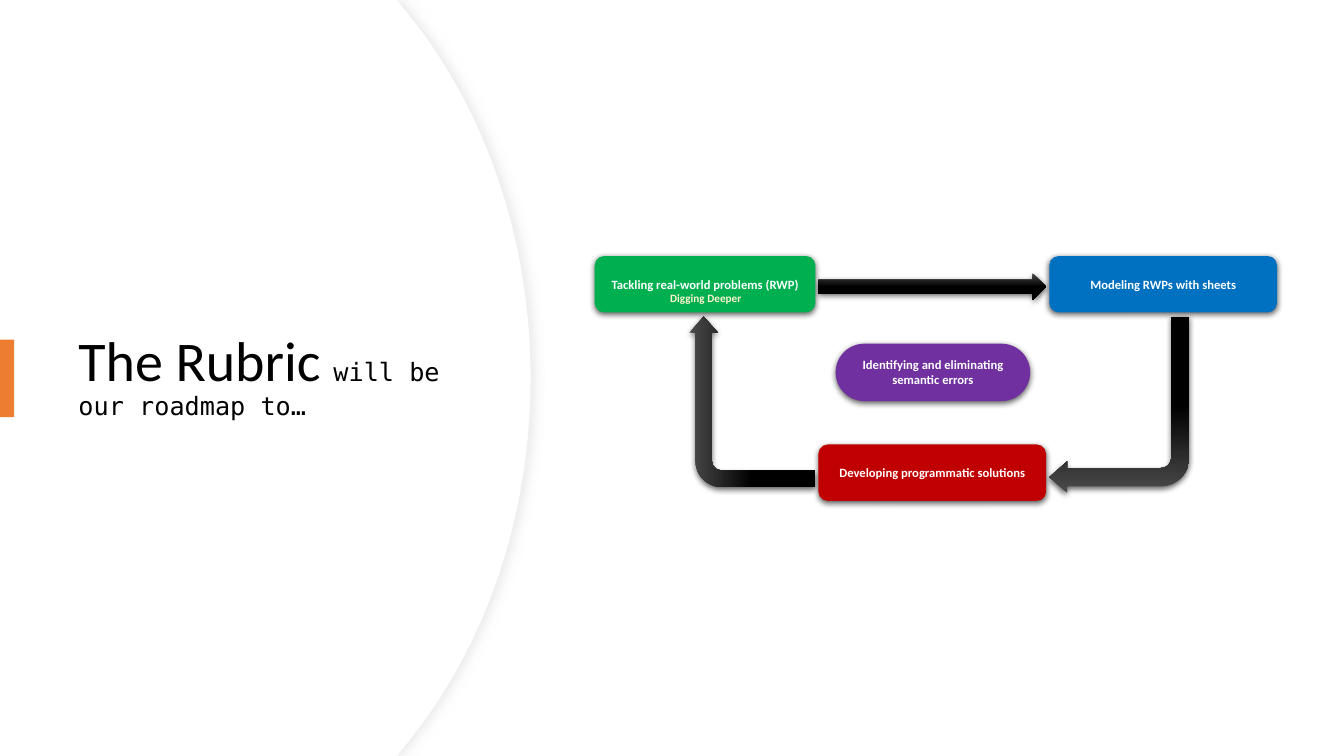
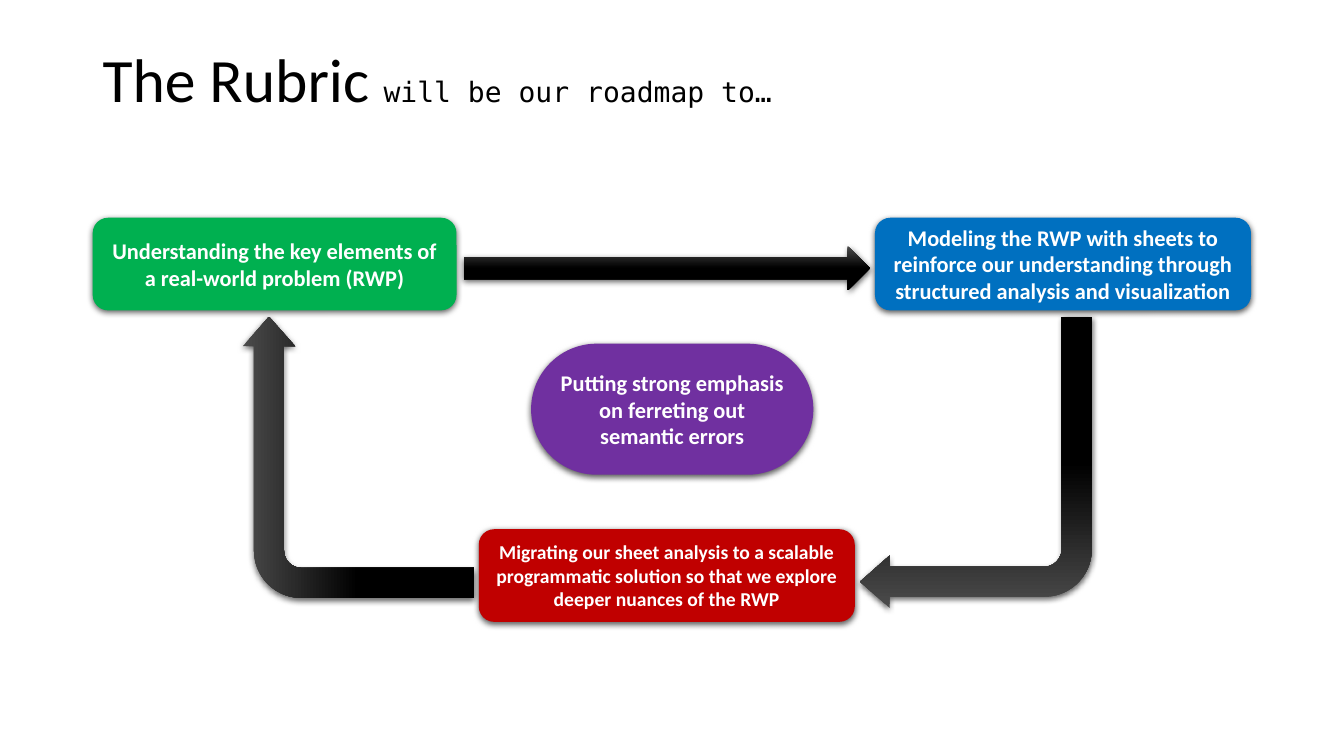
from lxml import etree
from pptx import Presentation
from pptx.dml.color import RGBColor
from pptx.enum.shapes import MSO_SHAPE
from pptx.enum.text import MSO_ANCHOR, PP_ALIGN
from pptx.oxml.ns import qn
from pptx.util import Pt

RECTANGLE = MSO_SHAPE.RECTANGLE
ROUNDED = MSO_SHAPE.ROUNDED_RECTANGLE
BENT_ARROW = MSO_SHAPE.BENT_ARROW
RIGHT_ARROW = MSO_SHAPE.RIGHT_ARROW
CENTER = PP_ALIGN.CENTER
MIDDLE = MSO_ANCHOR.MIDDLE

WHITE = RGBColor(0xFF, 0xFF, 0xFF)
BLACK = RGBColor(0, 0, 0)
CHARCOAL = RGBColor(0x4B, 0x4B, 0x4B)
SHADE = RGBColor(0xD9, 0xD9, 0xD9)
EDGE = RGBColor(0xEF, 0xEF, 0xEF)
ORANGE = RGBColor(0xED, 0x7D, 0x31)
GREEN = RGBColor(0x00, 0xB0, 0x50)
BLUE = RGBColor(0x00, 0x70, 0xC0)
RED = RGBColor(0xC0, 0x00, 0x00)
PURPLE = RGBColor(0x70, 0x30, 0xA0)
CREAM = RGBColor(0xFF, 0xF2, 0xCC)

BODY_FONT = "Calibri"
MONO_FONT = "DejaVu Sans Mono"
BEND = (0.13, 0.113, 0.128, 0.205)
CURVE_STEPS = 30


def points(*values):
    """Turn plain numbers into lengths in points."""
    return [Pt(value) for value in values]


def bezier(start, first, second, end):
    """Return points along a cubic curve."""
    curve = []
    for step in range(CURVE_STEPS + 1):
        t = step / CURVE_STEPS
        weights = ((1 - t) ** 3, 3 * t * (1 - t) ** 2, 3 * t * t * (1 - t), t ** 3)
        curve.append(tuple(
            sum(weight * knot[axis] for weight, knot in zip(weights, (start, first, second, end)))
            for axis in (0, 1)))
    return curve


class Deck:
    """Shared style and the slide being built."""

    def __init__(self):
        """Open a widescreen deck."""
        self.deck = Presentation()
        self.deck.slide_width, self.deck.slide_height = points(960, 540)
        self.page = None

    def add_page(self):
        """Start a blank slide."""
        self.page = self.deck.slides.add_slide(self.deck.slide_layouts[6])

    def shadow(self, shape, color=BLACK, alpha=63, blur=4.5, distance=1.5, angle=90):
        """Give a shape a soft outer shadow."""
        effects = shape.element.spPr.find(qn("a:effectLst"))
        outer = etree.SubElement(
            effects, qn("a:outerShdw"), blurRad=str(Pt(blur)), dist=str(Pt(distance)),
            dir=str(angle * 60000), algn="ctr", rotWithShape="0")
        tone = etree.SubElement(outer, qn("a:srgbClr"), val=str(color))
        etree.SubElement(tone, qn("a:alpha"), val=str(alpha * 1000))

    def paint(self, shape, color):
        """Fill a shape without outline or inherited shadow."""
        shape.shadow.inherit = False
        shape.line.fill.background()
        shape.fill.solid()
        shape.fill.fore_color.rgb = color

    def shape(self, kind, frame, color):
        """Add a plain filled preset shape."""
        shape = self.page.shapes.add_shape(kind, *points(*frame))
        self.paint(shape, color)
        return shape

    def style(self, span, size, color, font=BODY_FONT, bold=False):
        """Format one run."""
        span.font.name, span.font.size = font, Pt(size)
        span.font.color.rgb, span.font.bold = color, bold

    def panel(self, inset):
        """Add the white panel with a curved right side."""
        upper = bezier((288.7 - inset, 5.8), (344.9 - inset, 73.4),
                       (379.4 - inset, 167), (379.4 - inset, 270))
        lower = [(x, 540 - y) for x, y in reversed(upper)]
        outline = [(283.7, 0), *upper, *lower[1:], (283.7, 540), (0, 540)]
        builder = self.page.shapes.build_freeform(0, 0)
        builder.add_line_segments([points(*corner) for corner in outline], close=True)
        panel = builder.convert_to_shape()
        self.paint(panel, WHITE)
        return panel

    def title(self, frame, large, small):
        """Add the two-font title."""
        box = self.page.shapes.add_textbox(*points(*frame))
        box.text_frame.word_wrap = True
        box.text_frame.vertical_anchor = MIDDLE
        para = box.text_frame.paragraphs[0]
        para.line_spacing = 0.9
        for text, size, font in (("The Rubric ", large, BODY_FONT),
                                 ("will be our roadmap to…", small, MONO_FONT)):
            span = para.add_run()
            span.text = text
            self.style(span, size, BLACK, font)

    def step(self, text, frame, color, size, after=0, roundness=None):
        """Add a rounded box with bold centred text."""
        box = self.shape(ROUNDED, frame, color)
        self.shadow(box)
        if roundness:
            box.adjustments[0] = roundness
        frame = box.text_frame
        frame.text = text
        frame.word_wrap = True
        frame.vertical_anchor = MIDDLE
        frame.margin_left = frame.margin_right = Pt(6)
        para = frame.paragraphs[0]
        para.alignment, para.space_after = CENTER, Pt(after)
        self.style(para.runs[0], size, WHITE, bold=True)

    def arrow(self, kind, frame, rotation=0):
        """Add a block arrow shaded from charcoal to black."""
        arrow = self.shape(kind, frame, BLACK)
        arrow.fill.gradient()
        arrow.fill.gradient_angle = 270
        for stop, color, position in zip(arrow.fill.gradient_stops, (CHARCOAL, BLACK), (0, 0.5)):
            stop.color.rgb, stop.position = color, position
        self.shadow(arrow)
        arrow.rotation = rotation
        if kind == BENT_ARROW:
            for index, value in enumerate(BEND):
                arrow.adjustments[index] = value

    def cycle(self, steps, arrows, after=0):
        """Add three linked steps around a central pill."""
        for (kind, rotation), frame in zip(
                ((BENT_ARROW, 270), (BENT_ARROW, 180), (RIGHT_ARROW, 0)), arrows):
            self.arrow(kind, frame, rotation)
        for (text, frame, size), color in zip(steps, (GREEN, BLUE, RED, PURPLE)):
            self.step(text, frame, color, size, after, 0.5 if color == PURPLE else None)

    def label(self, text, frame, size, color):
        """Add a small bold caption on one line."""
        box = self.page.shapes.add_textbox(*points(*frame))
        box.text_frame.text = text
        box.text_frame.word_wrap = False
        self.style(box.text_frame.paragraphs[0].runs[0], size, color, bold=True)


def overview(deck):
    """Build the slide with the curved title panel."""
    deck.add_page()
    rim = deck.panel(0)
    rim.line.color.rgb, rim.line.width = EDGE, Pt(0.75)
    deck.shadow(rim, SHADE, 50, 7, 3, 0)
    deck.panel(0.7)
    deck.title((49, 91.4, 283.7, 356.4), 40, 18)
    deck.shape(RECTANGLE, (0, 242.6, 10.1, 55.4), ORANGE)
    deck.cycle(
        (("Tackling real-world problems (RWP)", (424.8, 182.9, 157.7, 40.3), 9),
         ("Modeling RWPs with sheets", (749.5, 182.9, 162.7, 40.3), 9),
         ("Developing programmatic solutions", (584.6, 317.5, 162.7, 40.3), 9),
         ("Identifying and eliminating semantic errors", (596.9, 245.5, 139, 41), 9)),
        ((476.6, 241.9, 121.7, 90), (749.5, 226.1, 100.1, 126), (584.6, 195.1, 162.7, 19.4)),
        after=6)
    deck.label("Digging Deeper", (471.6, 204.5, 65.5, 17.3), 8, CREAM)


def detail(deck):
    """Build the slide with the full-width cycle."""
    deck.add_page()
    deck.title((66.2, 28.8, 828, 59.8), 44, 20)
    deck.cycle(
        (("Understanding the key elements of a real-world problem (RWP)",
          (66.2, 155.5, 259.9, 66.2), 16),
         ("Modeling the RWP with sheets to reinforce our understanding through "
          "structured analysis and visualization", (625, 155.5, 268.6, 66.2), 16),
         ("Migrating our sheet analysis to a scalable programmatic solution so that "
          "we explore deeper nuances of the RWP", (342, 378, 268.6, 66.2), 14),
         ("Putting strong emphasis on ferreting out semantic errors",
          (379.4, 245.5, 201.6, 93.6), 16)),
        ((155.5, 244.1, 200.9, 164.9), (614.2, 226.1, 165.6, 208.1),
         (331.2, 175.7, 290.2, 31.7)))


rubric = Deck()
overview(rubric)
detail(rubric)
rubric.deck.save("out.pptx")
